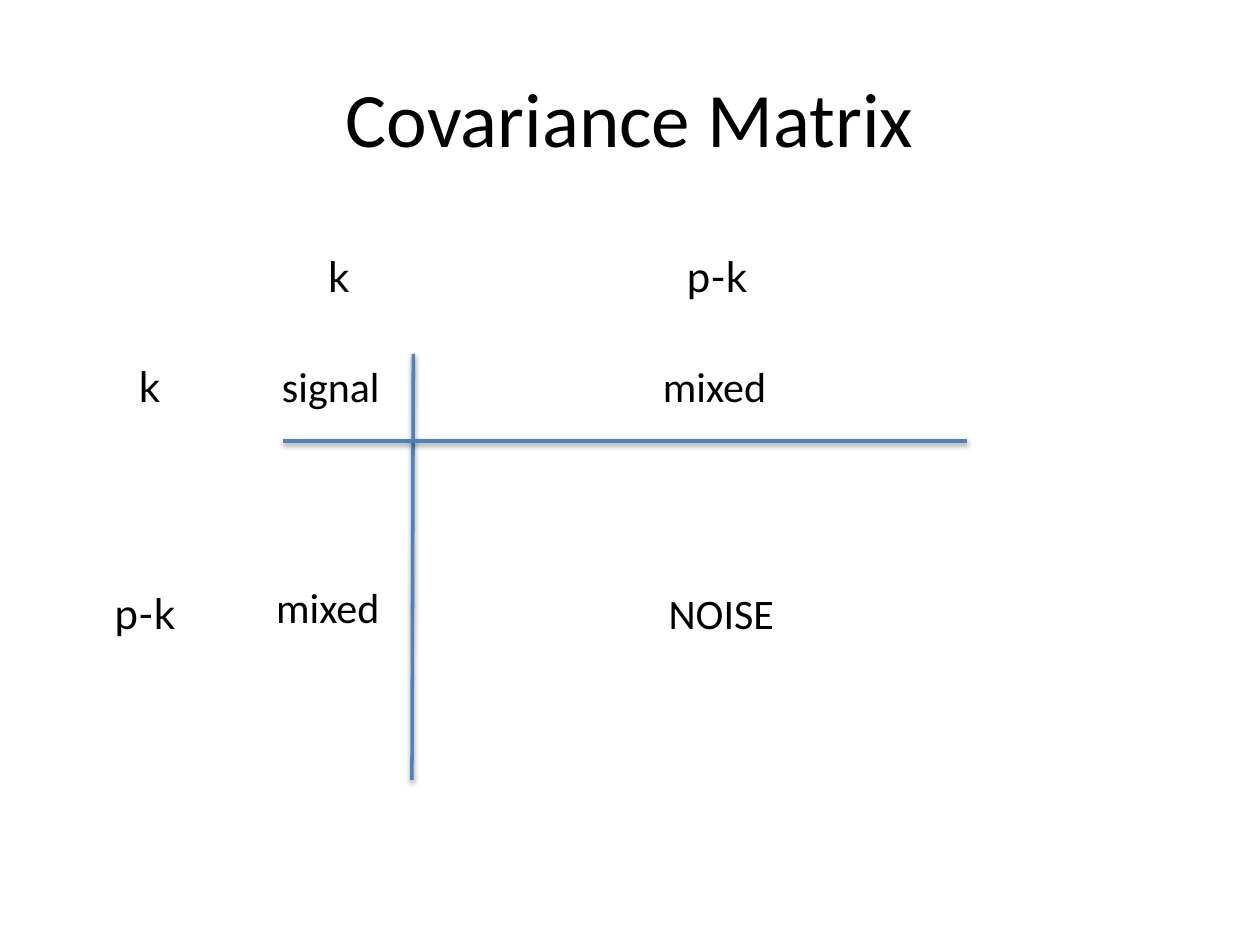
from dataclasses import dataclass

from lxml import etree
from pptx import Presentation
from pptx.dml.color import RGBColor
from pptx.enum.shapes import MSO_CONNECTOR
from pptx.enum.text import MSO_ANCHOR, MSO_AUTO_SIZE, PP_ALIGN
from pptx.oxml.ns import qn
from pptx.slide import Slide
from pptx.util import Pt

STRAIGHT = MSO_CONNECTOR.STRAIGHT
TOP, MIDDLE = MSO_ANCHOR.TOP, MSO_ANCHOR.MIDDLE
FIT_SHAPE, NO_FIT = MSO_AUTO_SIZE.SHAPE_TO_FIT_TEXT, MSO_AUTO_SIZE.NONE
RIGHT, CENTER = PP_ALIGN.RIGHT, PP_ALIGN.CENTER


@dataclass(frozen=True)
class Theme:
    text: RGBColor = RGBColor(0, 0, 0)
    line: RGBColor = RGBColor(0x4F, 0x81, 0xBD)
    shadow: str = "000000"
    heading_font: str = "Lato"
    body_font: str = "Calibri"
    title_size: float = 44
    label_size: float = 24
    line_width: float = 2


THEME = Theme()


@dataclass(frozen=True)
class Label:
    text: str
    left: float
    top: float
    width: float
    font: str = THEME.body_font
    height: float = 36.35
    size: float = THEME.label_size
    align: PP_ALIGN = RIGHT
    anchor: MSO_ANCHOR = TOP
    auto_size: MSO_AUTO_SIZE = FIT_SHAPE


@dataclass(frozen=True)
class Divider:
    x1: float
    y1: float
    x2: float
    y2: float


HEADER_TOP, SIGNAL_TOP, NOISE_TOP = 139.7, 202.3, 331.9

DIVIDERS = [
    Divider(236.2, 202.3, 235.4, 445.7),
    Divider(161.6, 252, 552.8, 252),
]

LABELS = [
    Label("k", 57.6, SIGNAL_TOP, 41, THEME.heading_font),
    Label("k", 178.6, HEADER_TOP, 28.1, THEME.heading_font),
    Label("p-k", 8.6, NOISE_TOP, 98.6, THEME.heading_font),
    Label("p-k", 371.5, HEADER_TOP, 62.6, THEME.heading_font),
    Label("signal", 99.4, SIGNAL_TOP, 124.6),
    Label("mixed", 115.9, 329, 108),
    Label("mixed", 303.1, SIGNAL_TOP, 141.8),
    Label("NOISE", 223.9, NOISE_TOP, 225.4),
    Label("Covariance Matrix", 36, 21.6, 648, height=90, size=THEME.title_size,
          align=CENTER, anchor=MIDDLE, auto_size=NO_FIT),
]


def draw_divider(s: Slide, divider: Divider) -> None:
    """Draw a line with a soft shadow falling straight down."""
    sp = s.shapes.add_connector(STRAIGHT, Pt(divider.x1), Pt(divider.y1),
                                Pt(divider.x2), Pt(divider.y2))
    sp.line.color.rgb = THEME.line
    sp.line.width = Pt(THEME.line_width)
    effects = etree.SubElement(sp._element.spPr, qn("a:effectLst"))
    shadow = etree.SubElement(effects, qn("a:outerShdw"), blurRad=str(Pt(3.1)),
                              dist=str(Pt(1.6)), dir="5400000", rotWithShape="0")
    color = etree.SubElement(shadow, qn("a:srgbClr"), val=THEME.shadow)
    etree.SubElement(color, qn("a:alpha"), val="38000")


def draw_label(s: Slide, label: Label) -> None:
    sp = s.shapes.add_textbox(Pt(label.left), Pt(label.top),
                              Pt(label.width), Pt(label.height))
    tf = sp.text_frame
    tf.word_wrap = True
    tf.auto_size = label.auto_size
    tf.vertical_anchor = label.anchor
    tf.text = label.text
    p = tf.paragraphs[0]
    p.alignment = label.align
    font = p.runs[0].font
    font.name = label.font
    font.size = Pt(label.size)
    font.color.rgb = THEME.text


def main() -> None:
    prs = Presentation()
    prs.slide_width, prs.slide_height = Pt(720), Pt(540)
    s = prs.slides.add_slide(prs.slide_layouts[6])
    for divider in DIVIDERS:
        draw_divider(s, divider)
    for label in LABELS:
        draw_label(s, label)
    prs.save("out.pptx")


if __name__ == "__main__":
    main()
